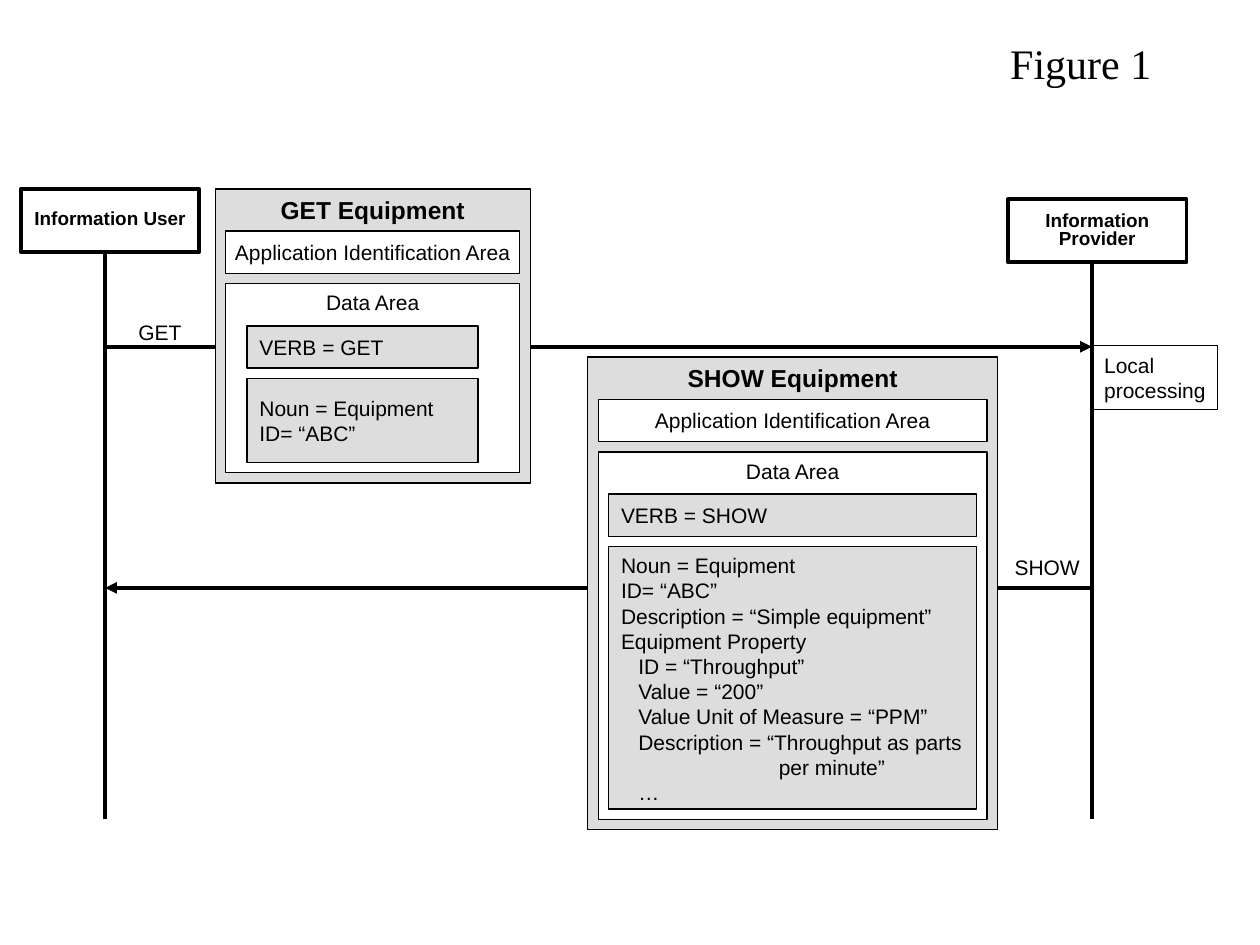
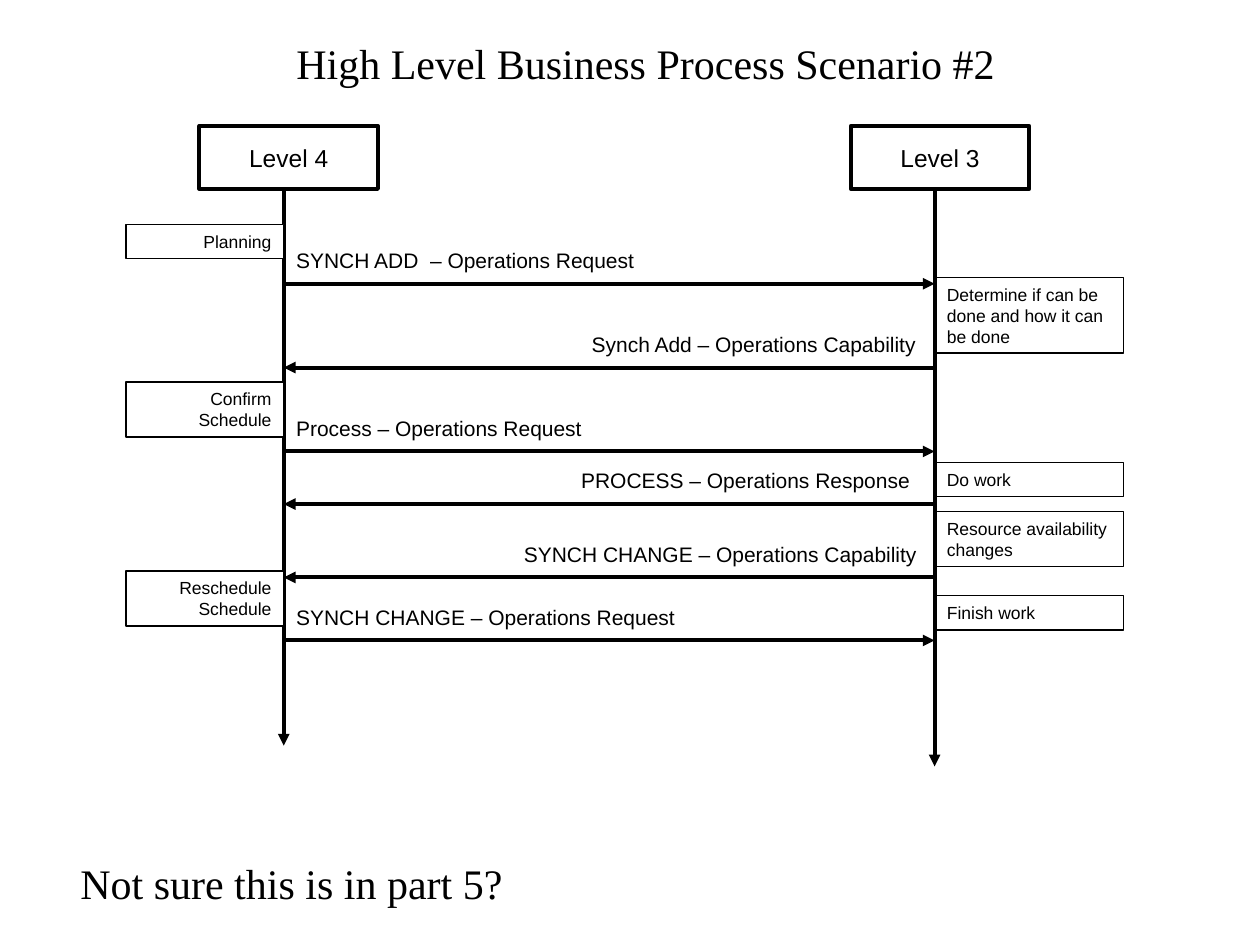
from pptx import Presentation
from pptx.dml.color import RGBColor
from pptx.enum.shapes import MSO_CONNECTOR, MSO_SHAPE
from pptx.enum.text import MSO_ANCHOR as ANCHOR, PP_ALIGN as ALIGN
from pptx.oxml.ns import qn
from pptx.oxml.xmlchemy import OxmlElement
from pptx.util import Cm, Pt

COLORS = {"ink": "000000", "paper": "FFFFFF", "panel": "DDDDDD"}
BODY_FONT, TITLE_FONT = "Arial", "Times New Roman"
THICK, THIN = 2.25, 0.75

# All lengths are in centimetres.
PARTICIPANT_SIZE = (3.6, 1.27)
LABEL_HEIGHT = 0.76
HEADLINE_HEIGHT = 1.27
TITLE_TOP = 0.63

# Slide 1: lifelines are (x, top, bottom), participants are (name, left, top)
FIGURE_TITLE = ("Figure 1", 20.11, 3.81)
FIGURE_PARTICIPANTS = [("Information User", 0.42, 3.81),
                       ("Information Provider", 20.32, 4.02)]
FIGURE_LIFELINES = [(2.12, 5.08, 16.51), (22.01, 5.29, 16.51)]
# (text, label left, label top, label width, arrow y, points right)
FIGURE_MESSAGES = [("GET", 2.54, 6.32, 1.37, 6.99, True),
                   ("SHOW", 20.19, 11.05, 1.83, 11.85, False)]
LOCAL_PROCESSING = (["Local", "processing"], 22.01, 6.96, 2.54, 1.3)

PROPERTY_INDENT, CONTINUATION_INDENT = 0.35, 3.18
PANELS = [
    {"verb": "GET", "box": (4.34, 3.81, 6.35, 5.93),
     "inset": 0.64, "inner_width": 4.66, "noun_anchor": ANCHOR.MIDDLE,
     "noun": ["Noun = Equipment", "ID= “ABC”"]},
    {"verb": "SHOW", "box": (11.85, 7.2, 8.26, 9.53),
     "inset": 0.42, "inner_width": 7.41, "noun_anchor": ANCHOR.TOP,
     "noun": ["Noun = Equipment", "ID= “ABC”",
              "Description = “Simple equipment”", "Equipment Property",
              ("ID = “Throughput”", PROPERTY_INDENT),
              ("Value = “200”", PROPERTY_INDENT),
              ("Value Unit of Measure = “PPM”", PROPERTY_INDENT),
              ("Description = “Throughput as parts", PROPERTY_INDENT),
              ("per minute”", CONTINUATION_INDENT),
              ("…", PROPERTY_INDENT)]},
]
PANEL_GAP = 0.21
PANEL_ROW = 0.85

# Slide 2
SCENARIO_TITLE = ("High Level Business Process Scenario #2", 5.72, 14.58)
SCENARIO_PARTICIPANTS = [("Level 4", 4.02, 2.54), ("Level 3", 17.15, 2.54)]
SCENARIO_LIFELINES = [(5.72, 3.81, 15.03), (18.84, 3.81, 15.45)]
# (text, label left, label width, arrow y, points right)
SCENARIO_MESSAGES = [
    ("SYNCH ADD  – Operations Request", 5.72, 7.34, 5.72, True),
    ("Synch Add – Operations Capability", 11.66, 7.06, 7.41, False),
    ("Process – Operations Request", 5.72, 6.27, 9.1, True),
    ("PROCESS – Operations Response", 11.46, 7.14, 10.16, False),
    ("SYNCH CHANGE – Operations Capability", 10.31, 8.43, 11.64, False),
    ("SYNCH CHANGE – Operations Request", 5.72, 8.15, 12.91, True),
]
LABEL_RISE = 0.85
# (text, top, number of lines)
LEVEL_4_NOTES = [("Planning", 4.52, 1), ("Confirm Schedule", 7.7, 2),
                 ("Reschedule Schedule", 11.51, 2)]
LEVEL_3_NOTES = [("Determine if can be done and how it can be done", 5.59, 3),
                 ("Do work", 9.32, 1),
                 ("Resource availability changes", 10.31, 2),
                 ("Finish work", 12.01, 1)]
LEVEL_4_NOTE_WIDTH, LEVEL_3_NOTE_WIDTH = 3.18, 3.81
NOTE_HEIGHT, NOTE_LINE = 0.69, 0.42
REMARK = ("Not sure this is in part 5?", 1.37, 17.17, 10.59)


def rgb(name):
    return RGBColor.from_string(COLORS[name])


def write(shape, lines, size=12, font=BODY_FONT, bold=False, align=ALIGN.LEFT,
          anchor=ANCHOR.MIDDLE, wrap=True, spacing=None):
    """Fill a shape with lines, each a string or a (string, indent) pair."""
    frame = shape.text_frame
    frame.word_wrap = wrap
    frame.vertical_anchor = anchor
    for index, line in enumerate(lines):
        text, indent = (line, 0) if isinstance(line, str) else line
        paragraph = frame.add_paragraph() if index else frame.paragraphs[0]
        paragraph.text = text
        paragraph.alignment = align
        if indent:
            paragraph._p.get_or_add_pPr().set("marL", str(Cm(indent)))
        if spacing:
            paragraph.line_spacing = spacing
        paragraph.font.name = font
        paragraph.font.size = Pt(size)
        paragraph.font.bold = bold
        paragraph.font.color.rgb = rgb("ink")


def add_box(shapes, box, lines, fill="paper", line_width=THIN, **text_style):
    shape = shapes.add_shape(MSO_SHAPE.RECTANGLE, *map(Cm, box))
    shape.shadow.inherit = False
    shape.fill.solid()
    shape.fill.fore_color.rgb = rgb(fill)
    shape.line.color.rgb = rgb("ink")
    shape.line.width = Pt(line_width)
    write(shape, lines, **text_style)


def add_label(slide, box, text, **text_style):
    label = slide.shapes.add_textbox(*map(Cm, box))
    write(label, [text], anchor=ANCHOR.TOP, **text_style)


def add_line(slide, start, end, arrow=False):
    connector = slide.shapes.add_connector(
        MSO_CONNECTOR.STRAIGHT, *map(Cm, (*start, *end)))
    connector.line.color.rgb = rgb("ink")
    connector.line.width = Pt(THICK)
    properties = connector._element.spPr
    if arrow:
        tail = OxmlElement("a:tailEnd")
        tail.set("type", "triangle")
        properties.find(qn("a:ln")).append(tail)
    properties.append(OxmlElement("a:effectLst"))


def add_titled_slide(presentation, text, left, width):
    slide = presentation.slides.add_slide(presentation.slide_layouts[5])
    title = slide.shapes.title
    title.left, title.top = Cm(left), Cm(TITLE_TOP)
    title.width, title.height = Cm(width), Cm(HEADLINE_HEIGHT)
    title.text_frame.margin_right = 0
    write(title, [text], size=24, font=TITLE_FONT, anchor=ANCHOR.TOP)
    return slide


def add_participants(slide, participants, **text_style):
    for name, left, top in participants:
        add_box(slide.shapes, (left, top, *PARTICIPANT_SIZE), [name],
                line_width=THICK, align=ALIGN.CENTER, **text_style)


def add_lifelines(slide, lifelines, arrow=False):
    for x, top, bottom in lifelines:
        add_line(slide, (x, top), (x, bottom), arrow)


def add_message(slide, lifelines, text, label_box, y, points_right):
    """Draw an arrow between the two lifelines, with its label."""
    start, end = [x for x, _, _ in lifelines][::1 if points_right else -1]
    add_line(slide, (start, y), (end, y), arrow=True)
    add_label(slide, label_box, text, wrap=False,
              align=ALIGN.LEFT if points_right else ALIGN.RIGHT)


def add_panel(slide, panel):
    """Draw a message panel: heading, identification row, verb and noun."""
    left, top, width, height = panel["box"]
    inner_left, inner_width = left + panel["inset"], panel["inner_width"]
    area_left, area_width = left + PANEL_GAP, width - 2 * PANEL_GAP
    identification_top = top + PANEL_ROW
    data_top = identification_top + PANEL_ROW + PANEL_GAP
    verb_top = data_top + PANEL_ROW
    noun_top = verb_top + PANEL_ROW + PANEL_GAP
    bottom = top + height
    centred = {"align": ALIGN.CENTER, "wrap": False}

    shapes = slide.shapes.add_group_shape().shapes
    add_box(shapes, panel["box"], [panel["verb"] + " Equipment"], "panel",
            size=14, bold=True, anchor=ANCHOR.TOP, **centred)
    add_box(shapes, (area_left, identification_top, area_width, PANEL_ROW),
            ["Application Identification Area"], **centred)
    add_box(shapes, (area_left, data_top, area_width, bottom - PANEL_GAP - data_top),
            ["Data Area"], anchor=ANCHOR.TOP, **centred)
    add_box(shapes, (inner_left, verb_top, inner_width, PANEL_ROW),
            ["VERB = " + panel["verb"]], "panel", wrap=False)
    add_box(shapes, (inner_left, noun_top, inner_width,
                     bottom - 2 * PANEL_GAP - noun_top),
            panel["noun"], "panel", anchor=panel["noun_anchor"], wrap=False)


def add_notes(slide, notes, left, width, align):
    for text, top, line_count in notes:
        height = NOTE_HEIGHT + NOTE_LINE * (line_count - 1)
        add_box(slide.shapes, (left, top, width, height), [text], size=10, align=align)


def build_figure(presentation):
    slide = add_titled_slide(presentation, *FIGURE_TITLE)
    add_participants(slide, FIGURE_PARTICIPANTS, size=10.8, bold=True, spacing=0.8)
    for text, left, top, width, y, points_right in FIGURE_MESSAGES:
        add_message(slide, FIGURE_LIFELINES, text,
                    (left, top, width, LABEL_HEIGHT), y, points_right)
    lines, *box = LOCAL_PROCESSING
    add_box(slide.shapes, box, lines, wrap=False)
    add_lifelines(slide, FIGURE_LIFELINES)
    for panel in PANELS:
        add_panel(slide, panel)


def build_scenario(presentation):
    slide = add_titled_slide(presentation, *SCENARIO_TITLE)
    add_participants(slide, SCENARIO_PARTICIPANTS, size=14)
    level_4_x, level_3_x = [x for x, _, _ in SCENARIO_LIFELINES]
    add_notes(slide, LEVEL_3_NOTES, level_3_x, LEVEL_3_NOTE_WIDTH, ALIGN.LEFT)
    add_lifelines(slide, SCENARIO_LIFELINES, arrow=True)
    add_notes(slide, LEVEL_4_NOTES, level_4_x - LEVEL_4_NOTE_WIDTH,
              LEVEL_4_NOTE_WIDTH, ALIGN.RIGHT)
    for text, left, width, y, points_right in SCENARIO_MESSAGES:
        add_message(slide, SCENARIO_LIFELINES, text,
                    (left, y - LABEL_RISE, width, LABEL_HEIGHT), y, points_right)
    text, left, top, width = REMARK
    add_label(slide, (left, top, width, HEADLINE_HEIGHT), text,
              size=24, font=TITLE_FONT)


def main():
    presentation = Presentation()
    presentation.slide_width, presentation.slide_height = Cm(25.4), Cm(19.05)
    build_figure(presentation)
    build_scenario(presentation)
    presentation.save("out.pptx")


if __name__ == "__main__":
    main()
